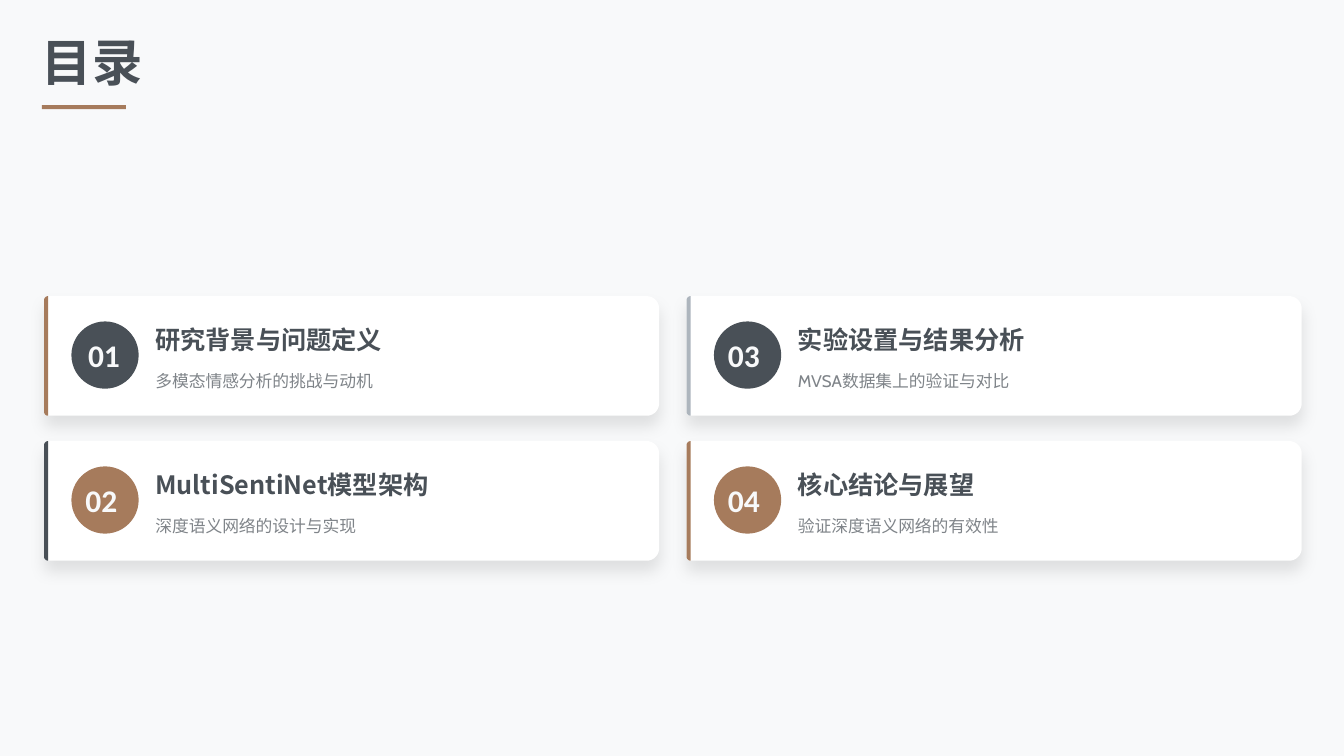
from math import cos, radians, sin

from lxml.etree import SubElement
from pptx import Presentation
from pptx.dml.color import RGBColor
from pptx.enum.shapes import MSO_SHAPE
from pptx.enum.text import MSO_ANCHOR, MSO_AUTO_SIZE, PP_ALIGN
from pptx.oxml.ns import qn
from pptx.util import Cm, Pt

COLOURS = {
    "background": "F8F9FA",
    "card": "FFFFFF",
    "slate": "495057",
    "copper": "A67B5C",
    "silver": "ADB5BD",
    "shadow": "000000",
}
CJK_FONT = "Noto Sans CJK SC"
FORMATS = {
    "heading": {"name": CJK_FONT, "size": Pt(48), "bold": True},
    "number": {"name": "Calibri", "size": Pt(30), "bold": True},
    "topic": {"name": CJK_FONT, "size": Pt(24), "bold": True},
    "detail": {"name": "Cabin", "size": Pt(16), "bold": False},
}

# Card grid, in centimetres: filled column by column
GRID_LEFT, GRID_TOP = 1.48, 9.95
COLUMN_STEP, ROW_STEP = 21.59, 4.87
ROWS = 2
CARD_WIDTH, CARD_HEIGHT = 20.67, 4.02
BAR_WIDTH, CORNER = 0.14, 0.42
BADGE_SIZE = 2.26

# Number, topic, detail, bar colour, badge colour, number offset
CHAPTERS = [
    ("01", "研究背景与问题定义", "多模态情感分析的挑战与动机", "copper", "slate", 1.48),
    ("02", "MultiSentiNet模型架构", "深度语义网络的设计与实现", "slate", "copper", 1.39),
    ("03", "实验设置与结果分析", "MVSA数据集上的验证与对比", "silver", "slate", 1.39),
    ("04", "核心结论与展望", "验证深度语义网络的有效性", "copper", "copper", 1.39),
]


def rgb(colour):
    return RGBColor.from_string(COLOURS[colour])


def paint(shape, colour):
    shape.fill.solid()
    shape.fill.fore_color.rgb = rgb(colour)
    shape.line.fill.background()
    shape.shadow.inherit = False
    return shape


def add_plain(slide, preset, left, top, width, height, colour):
    shape = slide.shapes.add_shape(preset, Cm(left), Cm(top), Cm(width), Cm(height))
    return paint(shape, colour)


def add_panel(slide, left, top, width, height, left_radius, right_radius, colour):
    """Draw a panel whose left and right corners have their own radius."""
    right, bottom = left + width, top + height
    corners = [
        (right - right_radius, top + right_radius, right_radius, 270),
        (right - right_radius, bottom - right_radius, right_radius, 0),
        (left + left_radius, bottom - left_radius, left_radius, 90),
        (left + left_radius, top + left_radius, left_radius, 180),
    ]
    points = [
        (Cm(x + radius * cos(radians(angle))), Cm(y + radius * sin(radians(angle))))
        for x, y, radius, start in corners
        for angle in range(start, start + 91, 10)
    ]
    outline = slide.shapes.build_freeform(*points[0])
    outline.add_line_segments(points[1:], close=True)
    return paint(outline.convert_to_shape(), colour)


def add_soft_shadow(shape):
    effects = shape._element.spPr.find(qn("a:effectLst"))
    shadow = SubElement(effects, qn("a:outerShdw"), blurRad=str(Pt(15)),
                        dist=str(Pt(10)), dir="5400000", algn="ctr", rotWithShape="0")
    tint = SubElement(shadow, qn("a:srgbClr"), val=COLOURS["shadow"])
    SubElement(tint, qn("a:alpha"), val="10000")


def write(shape, text, style, colour, spacing=1.0, opacity=100):
    frame = shape.text_frame
    frame_format = {
        "word_wrap": True, "auto_size": MSO_AUTO_SIZE.NONE,
        "vertical_anchor": MSO_ANCHOR.MIDDLE,
        "margin_left": 0, "margin_top": 0, "margin_right": 0, "margin_bottom": 0,
    }
    for key, value in frame_format.items():
        setattr(frame, key, value)
    paragraph = frame.paragraphs[0]
    paragraph.alignment = PP_ALIGN.LEFT
    paragraph.line_spacing = spacing
    run = paragraph.add_run()
    run.text = text
    for key, value in FORMATS[style].items():
        setattr(run.font, key, value)
    run.font.color.rgb = rgb(colour)
    properties = run._r.get_or_add_rPr()
    if opacity < 100:
        tint = properties.find(".//" + qn("a:srgbClr"))
        SubElement(tint, qn("a:alpha"), val=str(opacity * 1000))
    east_asian = SubElement(properties, qn("a:ea"), typeface=CJK_FONT)
    properties.find(qn("a:latin")).addnext(east_asian)


def add_label(slide, left, top, width, height, *content, **options):
    label = slide.shapes.add_textbox(Cm(left), Cm(top), Cm(width), Cm(height))
    write(label, *content, **options)


def add_heading(slide, text):
    heading = slide.shapes.title
    place = {"left": Cm(1.41), "top": Cm(1.41), "width": Cm(43.18), "height": Cm(1.69)}
    for key, value in place.items():
        setattr(heading, key, value)
    write(heading, text, "heading", "slate", spacing=0.8)
    add_plain(slide, MSO_SHAPE.RECTANGLE, 1.41, 3.53, 2.82, 0.14, "copper")


def add_chapter(slide, left, top, chapter):
    number, topic, detail, bar_colour, badge_colour, number_offset = chapter
    # Card with its accent bar
    card = add_panel(slide, left, top, CARD_WIDTH, CARD_HEIGHT, BAR_WIDTH, CORNER, "card")
    add_soft_shadow(card)
    add_panel(slide, left, top, BAR_WIDTH, CARD_HEIGHT, BAR_WIDTH, 0, bar_colour)
    # Numbered badge
    add_plain(slide, MSO_SHAPE.OVAL, left + 0.92, top + 0.85,
              BADGE_SIZE, BADGE_SIZE, badge_colour)
    add_label(slide, left + number_offset, top + 1.33, 1.83, 1.27,
              number, "number", "background")
    # Topic and detail
    add_label(slide, left + 3.74, top + 0.85, 16.51, 1.13,
              topic, "topic", "slate", spacing=1.1)
    add_label(slide, left + 3.74, top + 2.26, 16.36, 0.92,
              detail, "detail", "slate", spacing=1.4, opacity=70)


def main():
    presentation = Presentation()
    presentation.slide_width, presentation.slide_height = Cm(45.16), Cm(25.4)
    slide = presentation.slides.add_slide(presentation.slide_layouts[5])
    slide.background.fill.solid()
    slide.background.fill.fore_color.rgb = rgb("background")

    add_heading(slide, "目录")
    for index, chapter in enumerate(CHAPTERS):
        column, row = divmod(index, ROWS)
        add_chapter(slide, GRID_LEFT + column * COLUMN_STEP,
                    GRID_TOP + row * ROW_STEP, chapter)
    presentation.save("out.pptx")


if __name__ == "__main__":
    main()
